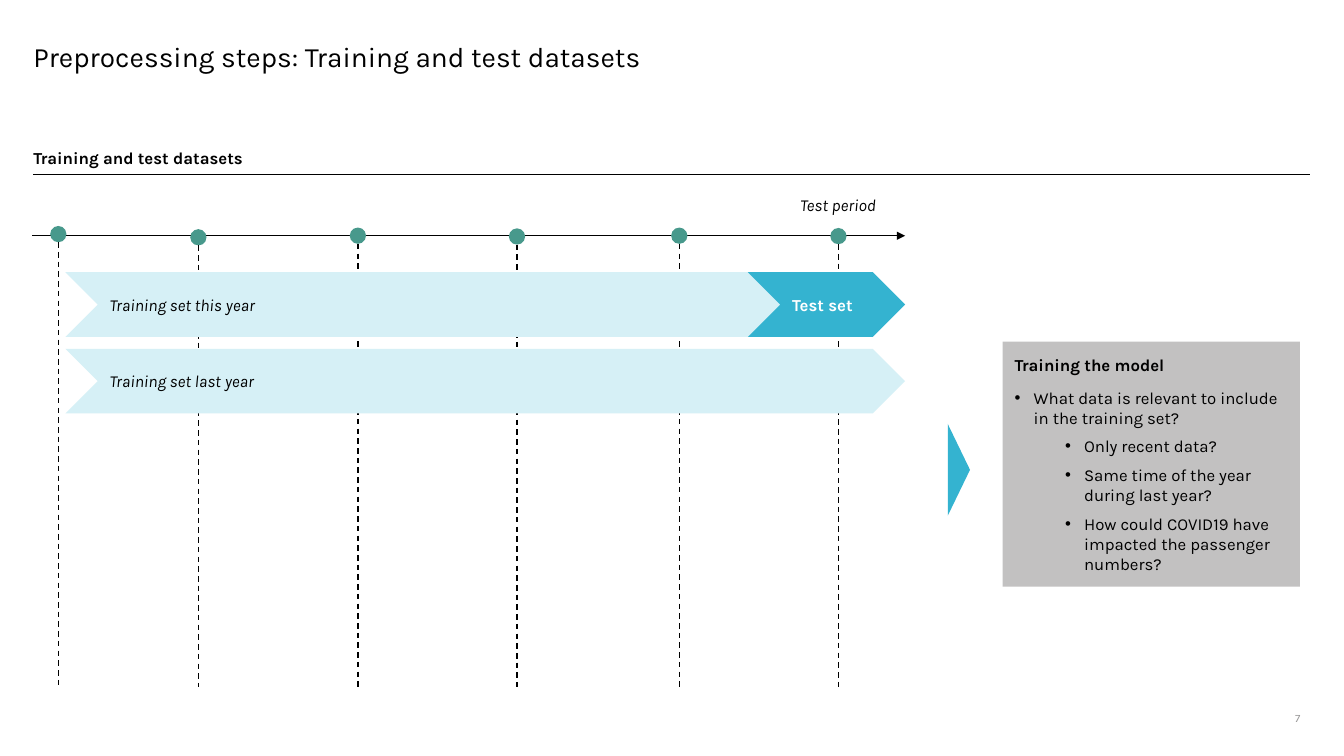
from pptx import Presentation
from pptx.dml.color import RGBColor
from pptx.enum.dml import MSO_LINE
from pptx.enum.shapes import MSO_CONNECTOR, MSO_SHAPE as Kind
from pptx.enum.text import MSO_ANCHOR as Anchor, MSO_AUTO_SIZE as Fit, PP_ALIGN as Align
from pptx.oxml.ns import qn
from pptx.util import Cm, Pt
from lxml.etree import SubElement

FONT = "Karla"
BLACK, WHITE, GREY, MUTED = "000000", "FFFFFF", "C2C1C1", "999898"
GREEN, BLUE, PALE = "48998C", "34B3D0", "D6F0F6"

LEFT, WIDE = 0.84, 32.18
AXIS, DOT, FOOT = 5.94, 0.41, 17.3
BAR_X, BAR_H, TIP = 1.65, 1.63, 22.81
DOTS = [(1.47, 5.9), (5, 5.98), (9.02, 5.94), (13.03, 5.96), (17.12, 5.94), (21.13, 5.95)]
POINTS = [
    (0, "What data is relevant to include in the training set?"),
    (1, "Only recent data?"),
    (1, "Same time of the year during last year?"),
    (1, "How could COVID19 have impacted the passenger numbers?"),
]


def paint(fmt, color):
    """Apply a hex colour to a fill or a font."""
    if hasattr(fmt, "solid"):
        fmt.solid()
        fmt.fore_color.rgb = RGBColor.from_string(color)
    else:
        fmt.color.rgb = RGBColor.from_string(color)


def place(item, x, y, w, h):
    item.left, item.top, item.width, item.height = Cm(x), Cm(y), Cm(w), Cm(h)


def frame(shape, pad=0.0, anchor=Anchor.MIDDLE):
    box = shape.text_frame
    box.word_wrap, box.auto_size = True, Fit.NONE
    box.vertical_anchor = anchor
    box.margin_left = box.margin_right = Cm(pad)
    box.margin_top = box.margin_bottom = Cm(pad)
    return box


def write(para, text, size=12, color=BLACK, bold=False, italic=False, align=Align.LEFT):
    para.alignment = align
    run = para.add_run()
    run.text = text
    font = run.font
    font.name, font.size, font.bold, font.italic = FONT, Pt(size), bold, italic
    paint(font, color)


def label(slide, text, x, y, w, h, anchor=Anchor.MIDDLE, **style):
    box = slide.shapes.add_textbox(Cm(x), Cm(y), Cm(w), Cm(h))
    write(frame(box, 0, anchor).paragraphs[0], text, **style)


def block(slide, kind, color, x, y, w, h):
    shape = slide.shapes.add_shape(kind, Cm(x), Cm(y), Cm(w), Cm(h))
    shape.shadow.inherit = False
    paint(shape.fill, color)
    shape.line.fill.background()
    return shape


def bar(slide, text, back, x, y, **style):
    shape = block(slide, Kind.CHEVRON, back, x, y, TIP - x, BAR_H)
    write(frame(shape, 0.3).paragraphs[0], text, **style)


def rule(slide, x1, y1, x2, y2, dash=False, arrow=False):
    link = slide.shapes.add_connector(MSO_CONNECTOR.STRAIGHT, Cm(x1), Cm(y1), Cm(x2), Cm(y2))
    line, props = link.line, link._element.spPr
    line.width = Pt(1)
    paint(line.fill, BLACK)
    if dash:
        line.dash_style = MSO_LINE.DASH
    if arrow:
        SubElement(props.find(qn("a:ln")), qn("a:tailEnd"), type="triangle")
    SubElement(props, qn("a:effectLst"))


def bullet(para, level):
    para.level = level
    props = para._p.get_or_add_pPr()
    props.set("marL", str(Cm(0.48 + 1.27 * level)))
    props.set("indent", str(Cm(-0.48)))
    SubElement(props, qn("a:buFont"), typeface="Arial")
    SubElement(props, qn("a:buChar"), char="•")


def panel(body):
    place(body, 25.27, 8.61, 7.49, 6.17)
    paint(body.fill, GREY)
    box = frame(body, 0.3)
    head = box.paragraphs[0]
    props = head._p.get_or_add_pPr()
    props.set("marL", "0")
    props.set("indent", "0")
    SubElement(props, qn("a:buNone"))
    head.space_before, head.space_after = Pt(0), Pt(6)
    write(head, "Training the model", bold=True)
    for level, text in POINTS:
        para = box.add_paragraph()
        bullet(para, level)
        para.space_before = para.space_after = Pt(3)
        write(para, text)


def main():
    deck = Presentation()
    deck.slide_width, deck.slide_height = Cm(33.87), Cm(19.05)
    slide = deck.slides.add_slide(deck.slide_layouts[1])

    # Title and section heading
    title = slide.shapes.title
    place(title, LEFT, 0.64, WIDE, 1.68)
    para = frame(title).paragraphs[0]
    para.line_spacing = 0.9
    write(para, "Preprocessing steps: Training and test datasets", size=20)
    label(slide, "Training and test datasets", LEFT, 3.71, WIDE, 0.51, Anchor.BOTTOM, bold=True)
    rule(slide, LEFT, 4.39, LEFT + WIDE, 4.39)

    # Timeline
    rule(slide, 0.81, AXIS, TIP, AXIS, arrow=True)
    for x, y in DOTS:
        block(slide, Kind.OVAL, GREEN, x - DOT / 2, y - DOT / 2, DOT, DOT)
        rule(slide, x, y + DOT / 2, x, FOOT, dash=True)
    label(slide, "Test period", 19.43, 4.9, 3.38, 0.51, Anchor.TOP,
          italic=True, align=Align.CENTER)

    # Data sets
    bar(slide, "Training set last year", PALE, BAR_X, 8.79, italic=True)
    bar(slide, "Training set this year", PALE, BAR_X, 6.86, italic=True)
    bar(slide, "Test set", BLUE, 18.85, 6.86, color=WHITE, bold=True)

    # Conclusion
    mark = block(slide, Kind.ISOSCELES_TRIANGLE, BLUE, 23.01, 11.56, 2.31, 0.56)
    mark.rotation = 90
    panel(slide.placeholders[1])

    # Page number
    label(slide, "7", 31.34, 17.78, 1.43, 0.64, size=8, color=MUTED, align=Align.RIGHT)

    deck.save("out.pptx")


if __name__ == "__main__":
    main()
